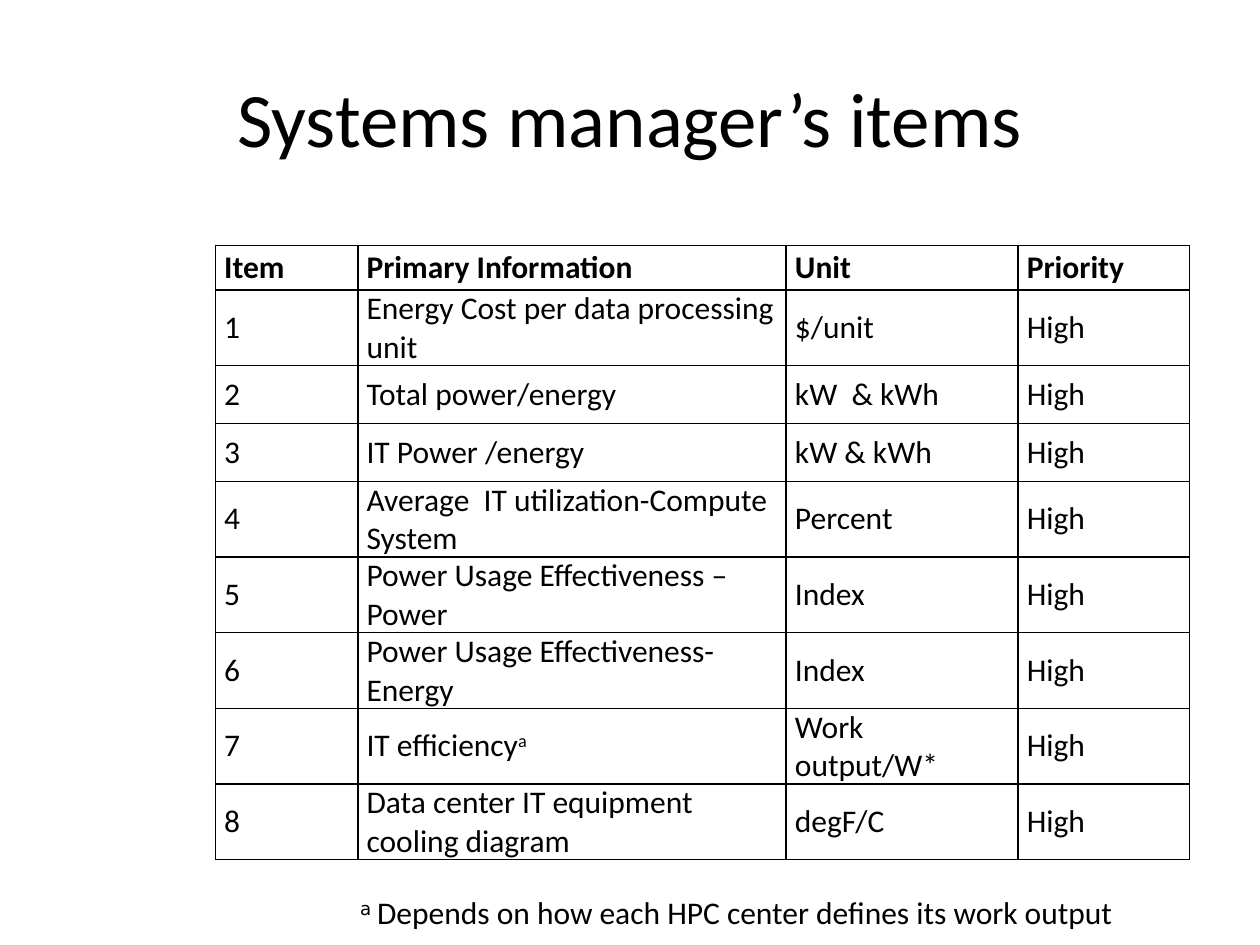
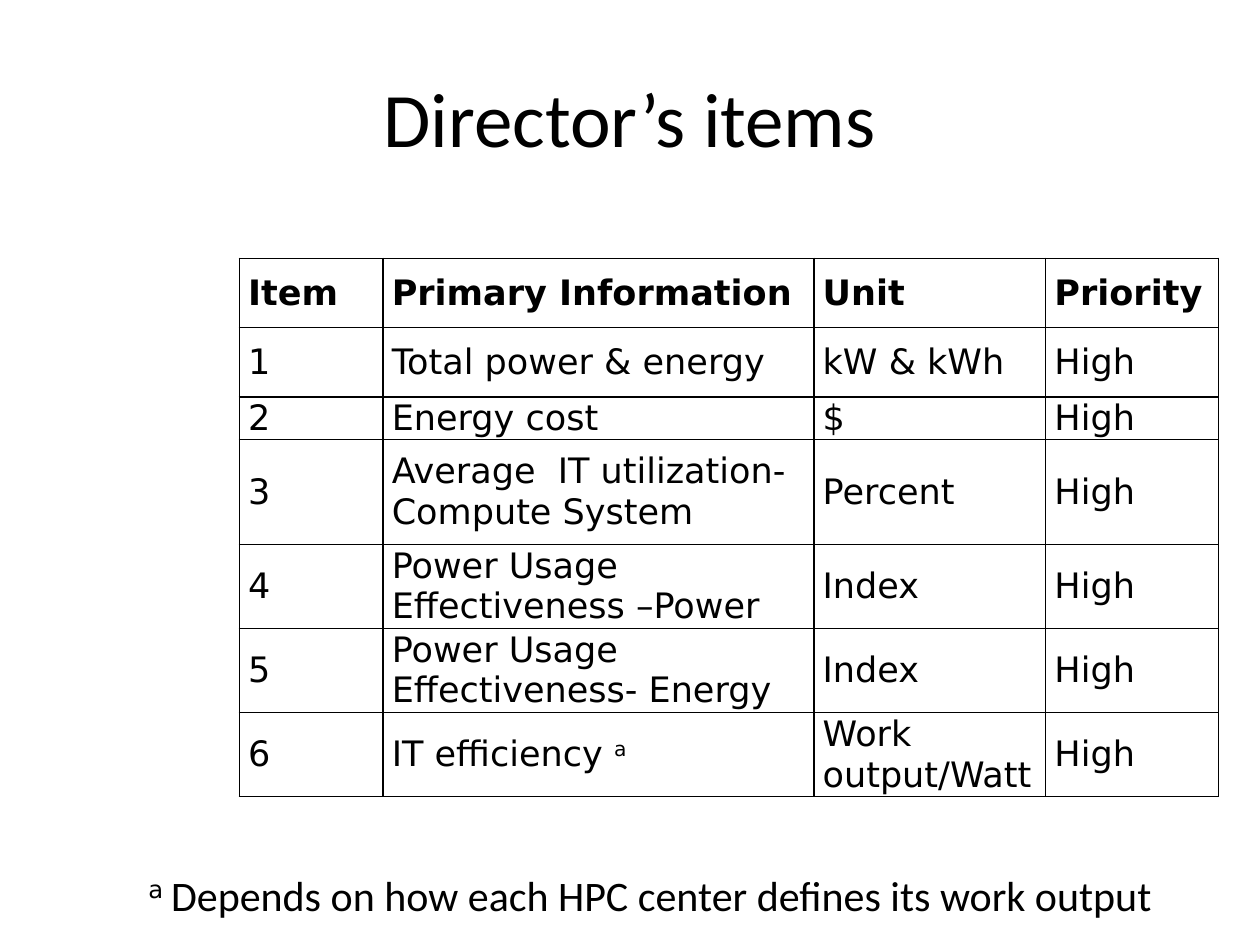
from lxml import etree
from pptx import Presentation
from pptx.dml.color import RGBColor
from pptx.enum.text import MSO_ANCHOR, PP_ALIGN
from pptx.oxml.ns import qn
from pptx.util import Inches, Pt

MIDDLE = MSO_ANCHOR.MIDDLE
CENTER = PP_ALIGN.CENTER
COLORS = {"text": "000000", "border": "000000"}
BODY_FONT = "Calibri"
SYMBOL_FONT = "DejaVu Sans"
HEADER = ("Item", "Primary Information", "Unit", "Priority")
PRIORITY = "High"
FOOTNOTE = "Depends on how each HPC center defines its work output"
CELL_FORMAT = {
    "margin_left": Inches(0.07),
    "margin_right": Inches(0.07),
    "margin_top": 0,
    "margin_bottom": 0,
    "vertical_anchor": MIDDLE,
}
PLAIN_TABLE = {"first_row": False, "horz_banding": False}

SLIDES = [
    {
        "title": "Systems manager’s items",
        "place": (1.71, 1.95),
        "columns": (1.13, 3.4, 1.84, 1.36),
        "rows": (0.35, 0.55, 0.46, 0.46) + (0.55,) * 5,
        "font": {"name": BODY_FONT, "size": Pt(18)},
        "items": [
            ("Energy Cost per data processing unit", "$/unit"),
            ("Total power/energy", "kW  & kWh"),
            ("IT Power /energy", "kW & kWh"),
            ("Average  IT utilization-Compute System", "Percent"),
            ("Power Usage Effectiveness –Power", "Index"),
            ("Power Usage Effectiveness- Energy", "Index"),
            ("IT efficiency^a", "Work output/W*"),
            ("Data center IT equipment cooling diagram", "degF/C"),
        ],
        "footnote": {"box": (2.76, 7.04, 6.84, 0.4), "size": 18},
    },
    {
        "title": "Director’s items",
        "place": (1.9, 2.05),
        "columns": (1.14, 3.42, 1.84, 1.37),
        "rows": (0.55, 0.55, 0.34, 0.83) + (0.55,) * 3,
        "font": {"name": SYMBOL_FONT, "size": Pt(20)},
        "items": [
            ("Total power & energy", "kW & kWh"),
            ("Energy cost", "$"),
            ("Average  IT utilization-Compute System", "Percent"),
            ("Power Usage Effectiveness –Power", "Index"),
            ("Power Usage Effectiveness- Energy", "Index"),
            ("IT efficiency ^a", "Work output/Watt"),
        ],
        "footnote": {"box": (1.08, 6.85, 8.3, 0.5), "size": 24},
    },
]


def set_format(target, values):
    for name, value in values.items():
        setattr(target, name, value)


def add_run(paragraph, text, font_format, superscript=False):
    run = paragraph.add_run()
    run.text = text
    set_format(run.font, font_format)
    run.font.color.rgb = RGBColor.from_string(COLORS["text"])
    if superscript:
        run.font._element.set("baseline", "30000")


def add_text_frame(slide, box):
    frame = slide.shapes.add_textbox(*map(Inches, box)).text_frame
    frame.word_wrap = True
    return frame


def add_title(slide, title):
    frame = add_text_frame(slide, (0.5, 0.3, 9, 1.25))
    frame.vertical_anchor = MIDDLE
    heading = frame.paragraphs[0]
    heading.alignment = CENTER
    add_run(heading, title, {"name": BODY_FONT, "size": Pt(44)})


def add_borders(cell):
    properties = cell._tc.get_or_add_tcPr()
    for side in ("lnL", "lnR", "lnT", "lnB"):
        line = etree.SubElement(properties, qn(f"a:{side}"), w=str(Pt(1)))
        fill = etree.SubElement(line, qn("a:solidFill"))
        etree.SubElement(fill, qn("a:srgbClr"), val=COLORS["border"])


def fill_cell(cell, text, font_format):
    set_format(cell, CELL_FORMAT)
    add_borders(cell)
    cell.fill.background()
    label, _, mark = text.partition("^")
    paragraph = cell.text_frame.paragraphs[0]
    add_run(paragraph, label, font_format)
    if mark:
        add_run(paragraph, mark, font_format, superscript=True)


def add_items_table(slide, content):
    columns, rows = content["columns"], content["rows"]
    extent = (*content["place"], sum(columns), sum(rows))
    table = slide.shapes.add_table(
        len(rows), len(columns), *map(Inches, extent)
    ).table
    set_format(table, PLAIN_TABLE)
    for column, width in zip(table.columns, columns):
        column.width = Inches(width)
    for row, height in zip(table.rows, rows):
        row.height = Inches(height)

    entries = [HEADER] + [
        (str(number), information, unit, PRIORITY)
        for number, (information, unit) in enumerate(content["items"], 1)
    ]
    for row, entry in enumerate(entries):
        font_format = {**content["font"], "bold": row == 0}
        for column, text in enumerate(entry):
            fill_cell(table.cell(row, column), text, font_format)


def add_footnote(slide, box, size):
    note = add_text_frame(slide, box).paragraphs[0]
    add_run(note, "a ", {"name": SYMBOL_FONT, "size": Pt(size)}, superscript=True)
    add_run(note, FOOTNOTE, {"name": BODY_FONT, "size": Pt(size)})


def main():
    presentation = Presentation()
    set_format(
        presentation, {"slide_width": Inches(10), "slide_height": Inches(7.5)}
    )
    for content in SLIDES:
        slide = presentation.slides.add_slide(presentation.slide_layouts[6])
        add_title(slide, content["title"])
        add_items_table(slide, content)
        add_footnote(slide, **content["footnote"])
    presentation.save("out.pptx")


if __name__ == "__main__":
    main()
